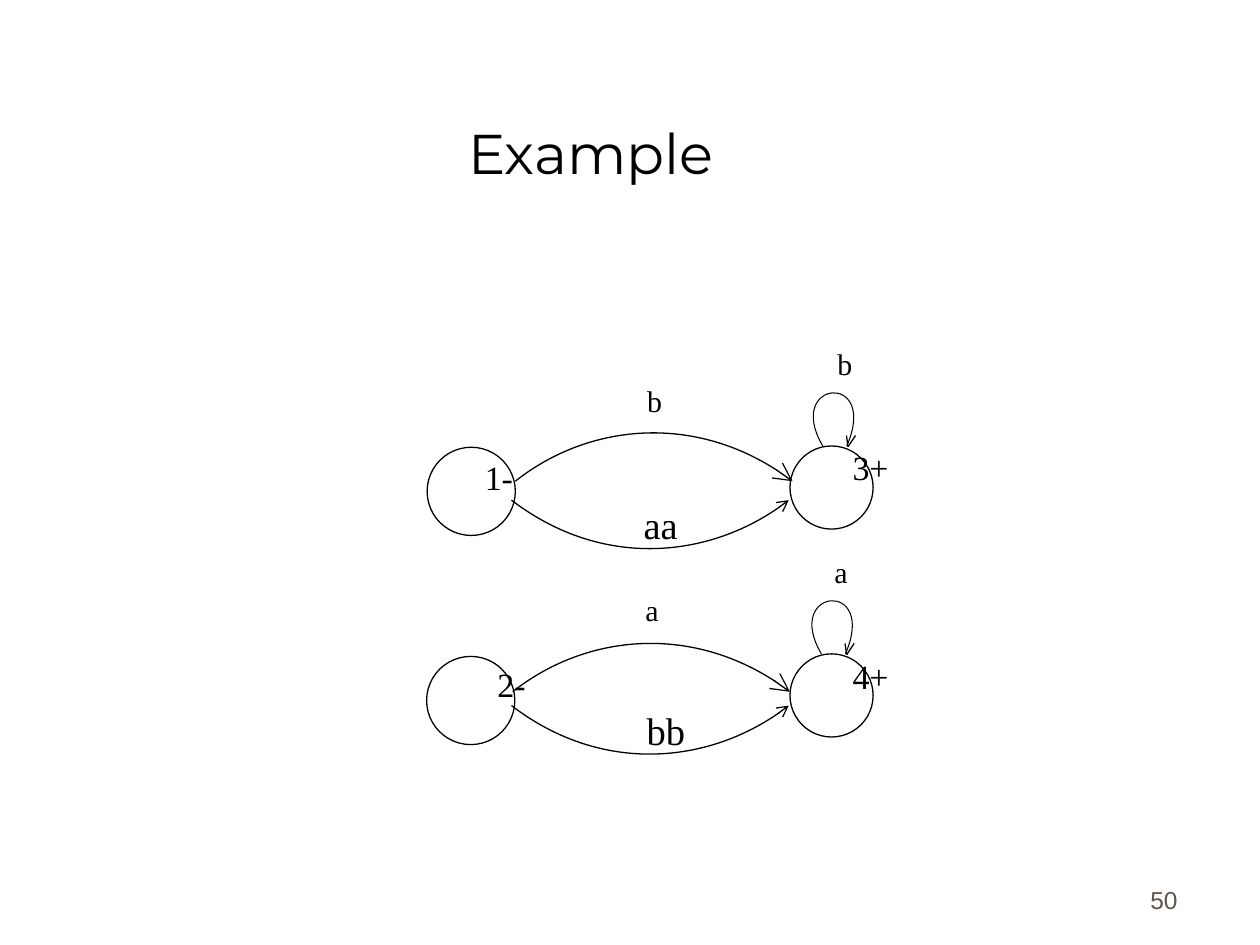
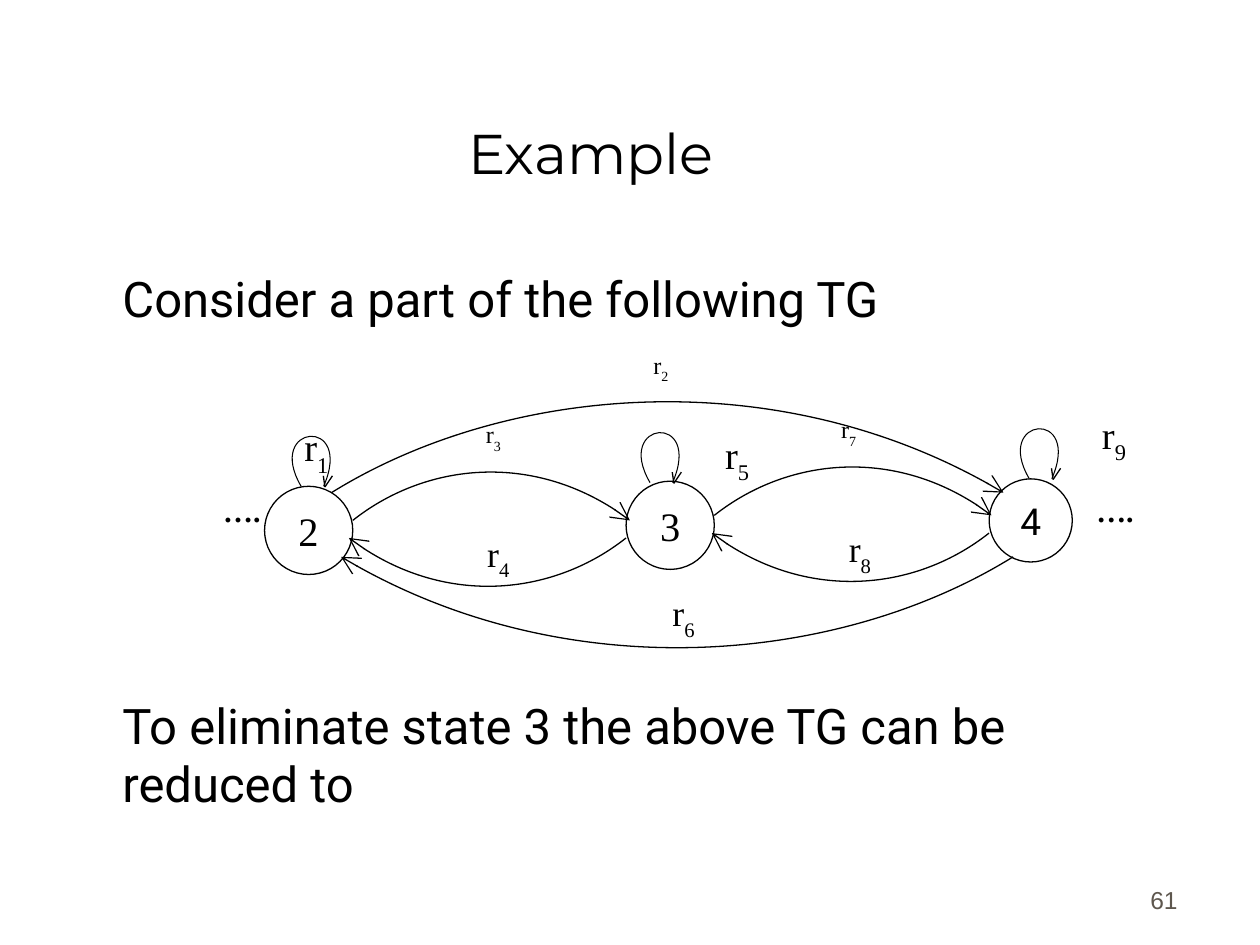
import pptx
import pptx.dml.color
import pptx.enum.shapes
import pptx.enum.text
import pptx.oxml.ns
import pptx.util
from lxml import etree

Pt = pptx.util.Pt
qn = pptx.oxml.ns.qn
rgb = pptx.dml.color.RGBColor.from_string
PP_ALIGN = pptx.enum.text.PP_ALIGN
MSO_ANCHOR = pptx.enum.text.MSO_ANCHOR
MSO_SHAPE = pptx.enum.shapes.MSO_SHAPE

INK, PAPER, MUTED = "000000", "FFFFFF", "5E574E"
SERIF, SANS, TITLE, NUMBER = "Times New Roman", "Roboto", "Montserrat", "Arial"

# label style: size, line spacing, box width, box height, bold
LABELS = {
    "tiny": (13.8, 0.8, 29.5, 29, False),
    "edge": (17.1, 0.8, 29.5, 29, False),
    "state": (19.4, 0.8, 73.4, 30, False),
    "mid": (20.4, 0.9, 35.3, 36, False),
    "word": (22, 1.0, 39, 36, False),
    "big": (22, 1.0, 70.6, 48, False),
    "dots": (17.1, 0.8, 54.7, 30, True),
}

# states: centre x, centre y, diameter, text, size, font
# arcs: start x, start y, run, rise, arrow end, arrow size
# loops: start x, start y, scale
# labels: style, centre x, top, text, subscript
SLIDES = [
    {
        "number": "50",
        "body": [],
        "states": [
            (269.3, 280.8, 50.4, "", 19.4, SERIF),
            (269, 400.3, 50.4, "", 19.4, SERIF),
            (475.2, 278.6, 47.5, "", 19.4, SERIF),
            (475.2, 397.4, 47.5, "", 19.4, SERIF),
        ],
        "arcs": [
            (450.7, 285.8, -158.4, -40, "head", "med"),
            (450.7, 403.2, -158.4, -40, "head", "med"),
            (294.5, 275, 158.4, 40, "tail", "lg"),
            (293, 395.3, 158.4, 40, "tail", "lg"),
        ],
        "loops": [(470.2, 254.9, 1), (469.4, 373.7, 1)],
        "labels": [
            ("word", 377.6, 283, "aa", ""),
            ("word", 380.5, 400.3, "bb", ""),
            ("edge", 374, 218.9, "b", ""),
            ("edge", 372.6, 338.4, "a", ""),
            ("edge", 482.8, 198, "b", ""),
            ("edge", 480.6, 316.8, "a", ""),
            ("state", 285.1, 262.1, "1-", ""),
            ("state", 292.3, 380.2, "2-", ""),
            ("state", 497.5, 256.3, "3+", ""),
            ("state", 497.5, 375.8, "4+", ""),
        ],
    },
    {
        "number": "61",
        "body": [
            ("Consider a part of the following TG", 0),
            ("To eliminate state 3 the above TG can be reduced to", 210),
        ],
        "states": [
            (176.4, 303.1, 50.4, "2", 23.1, SERIF),
            (383, 300.2, 50.4, "3", 23.1, SERIF),
            (589, 297.4, 47.5, "4", 21.2, SANS),
        ],
        "arcs": [
            (565.2, 304.6, -158.4, -40, "tail", "lg"),
            (408.2, 294.5, 158.4, 40, "tail", "lg"),
            (357.8, 307.4, -158.4, -40, "tail", "lg"),
            (201.6, 297.4, 158.4, 40, "tail", "lg"),
            (578.9, 318.2, -384, -76, "tail", "lg"),
            (189.4, 281.5, 384, 76, "tail", "lg"),
        ],
        "loops": [(172.1, 277.9, 0.94), (371.5, 275.8, 0.94), (588.2, 273.6, 0.94)],
        "labels": [
            ("big", 180.7, 238.3, "r", "1"),
            ("tiny", 377.6, 198, "r", "2"),
            ("tiny", 281.9, 237.6, "r", "3"),
            ("mid", 284.8, 300.2, "r", "4"),
            ("big", 421.2, 242.6, "r", "5"),
            ("mid", 390.6, 334.1, "r", "6"),
            ("tiny", 484.9, 234.7, "r", "7"),
            ("mid", 491.4, 297.4, "r", "8"),
            ("big", 636.5, 231.1, "r", "9"),
            ("dots", 138.2, 282.2, "….", ""),
            ("dots", 637.2, 282.2, "….", ""),
        ],
    },
]


def add_curve(s, x, y, steps):
    """Draw one cubic curve from (x, y); steps are offsets of two controls and the end."""
    builder = s.shapes.build_freeform(Pt(x), Pt(y))
    builder.add_line_segments([(Pt(x + dx), Pt(y + dy)) for dx, dy in steps], close=False)
    sp = builder.convert_to_shape()
    sp.fill.background()
    lines = list(sp._element.iter(qn("a:lnTo")))
    outline = lines[0].getparent()
    bezier = etree.SubElement(outline, qn("a:cubicBezTo"))
    for line in lines:
        bezier.append(line[0])
        outline.remove(line)
    return sp


def add_text(s, left, top, width, height, text, size, font, color=INK,
             align=PP_ALIGN.CENTER, anchor=MSO_ANCHOR.TOP):
    tf = s.shapes.add_textbox(Pt(left), Pt(top), Pt(width), Pt(height)).text_frame
    tf.word_wrap = True
    tf.vertical_anchor = anchor
    p = tf.paragraphs[0]
    p.text = text
    p.alignment = align
    p.font.size, p.font.name, p.font.color.rgb = Pt(size), font, rgb(color)
    return tf


prs = pptx.Presentation()
prs.slide_width, prs.slide_height = Pt(720), Pt(540)

for content in SLIDES:
    s = prs.slides.add_slide(prs.slide_layouts[6])
    s.background.fill.solid()
    s.background.fill.fore_color.rgb = rgb(PAPER)
    add_text(s, 530, 490.3, 150, 36, content["number"], 14, NUMBER, MUTED,
             PP_ALIGN.RIGHT, MSO_ANCHOR.BOTTOM)
    add_text(s, 31.7, 18, 612, 91.5, "Example", 32, TITLE, anchor=MSO_ANCHOR.BOTTOM)

    if content["body"]:
        tf = add_text(s, 36, 150, 643.7, 328, "", 28, SANS)
        tf.margin_left = Pt(34)
        for i, (text, gap) in enumerate(content["body"]):
            p = tf.add_paragraph() if i else tf.paragraphs[0]
            p.text = text
            p.alignment = PP_ALIGN.LEFT
            p.space_before = Pt(gap)
            p.font.size, p.font.name, p.font.color.rgb = Pt(28), SANS, rgb(INK)

    drawn = []
    for cx, cy, d, text, size, font in content["states"]:
        sp = s.shapes.add_shape(MSO_SHAPE.OVAL, Pt(cx - d / 2), Pt(cy - d / 2), Pt(d), Pt(d))
        sp.fill.solid()
        sp.fill.fore_color.rgb = rgb(PAPER)
        if text:
            tf = sp.text_frame
            tf.margin_left = tf.margin_right = tf.margin_top = tf.margin_bottom = 0
            tf.vertical_anchor = MSO_ANCHOR.MIDDLE
            p = tf.paragraphs[0]
            p.text = text
            p.alignment = PP_ALIGN.CENTER
            p.font.size, p.font.name, p.font.color.rgb = Pt(size), font, rgb(INK)
        drawn.append((sp, 0.75))

    for x, y, run, rise, end, arrow in content["arcs"]:
        sp = add_curve(s, x, y, [(0.255 * run, -0.8 * rise), (0.67 * run, -rise), (run, 0)])
        sp.line.color.rgb = rgb(INK)
        etree.SubElement(sp.line._get_or_add_ln(), qn(f"a:{end}End"),
                         type="arrow", w=arrow, len=arrow)
        drawn.append((sp, 0.75))

    for x, y, scale in content["loops"]:
        steps = [(-22.3, -38), (32.4, -43), (13.7, 0)]
        steps = [(dx * scale, dy * scale) for dx, dy in steps]
        drawn.append((add_curve(s, x, y, steps), 0.6))
        tip = x + steps[-1][0] + 0.7
        for barb in (-0.9, 4.3):
            sp = s.shapes.add_connector(pptx.enum.shapes.MSO_CONNECTOR.STRAIGHT,
                                        Pt(tip + barb), Pt(y - 6), Pt(tip), Pt(y + 0.4))
            drawn.append((sp, 0.75))

    for sp, weight in drawn:
        sp.line.color.rgb = rgb(INK)
        sp.line.width = Pt(weight)
        etree.SubElement(sp._element.spPr, qn("a:effectLst"))

    for style, cx, top, text, sub in content["labels"]:
        size, spacing, width, height, bold = LABELS[style]
        tf = add_text(s, cx - width / 2, top, width, height, text, size, SERIF)
        p = tf.paragraphs[0]
        p.line_spacing = spacing
        p.font.bold = bold
        if sub:
            r = p.add_run()
            r.text = sub
            r._r.get_or_add_rPr().set("baseline", "-30000")

prs.save("out.pptx")
